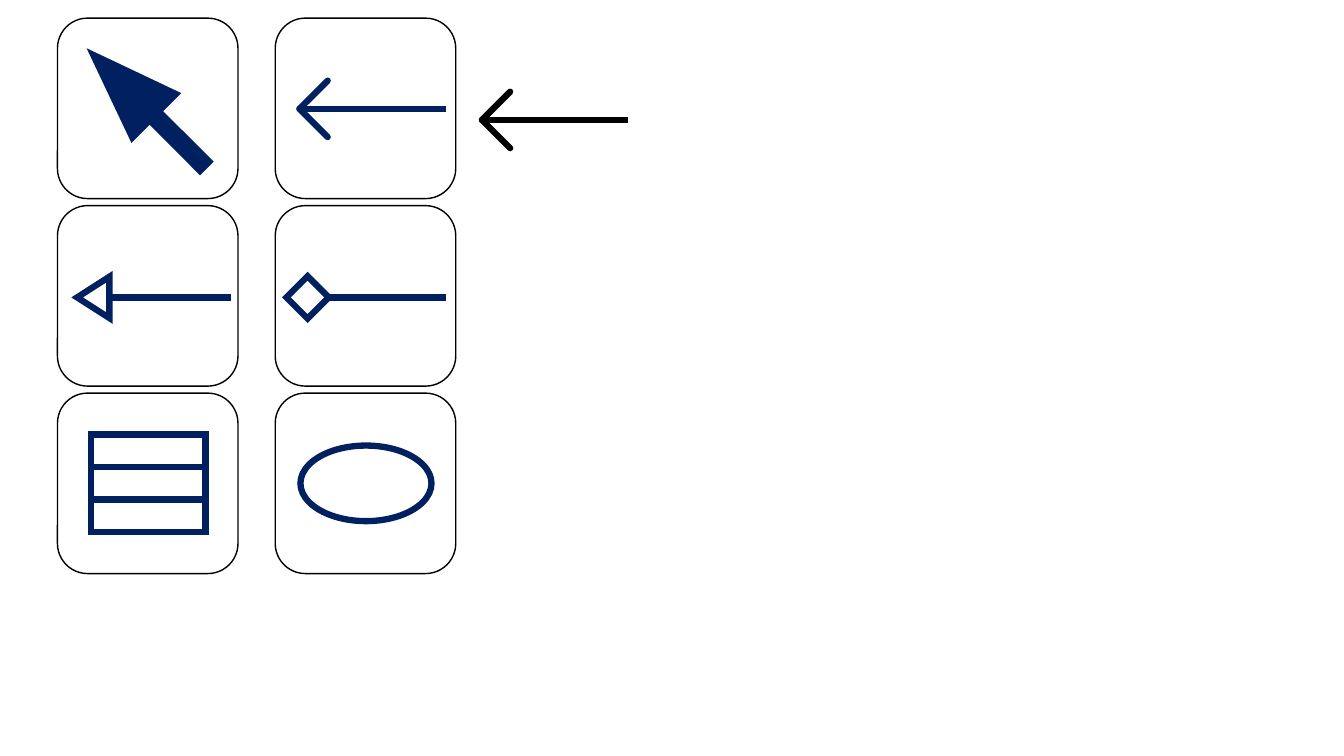
"""Draw a palette of diagram tool icons on a grid of rounded cards."""
from lxml import etree
from pptx import Presentation, util as u
from pptx.dml.color import RGBColor
from pptx.enum import shapes as s
from pptx.oxml.ns import qn

NAVY, BLACK, WHITE = "002060", "000000", "FFFFFF"
KIND = s.MSO_SHAPE
LEFT, TOP, COL, ROW, SIDE = 0.57, 0.18, 2.16, 1.86, 1.79


def style(item, hue=NAVY, width=4.5, fill=None, cap="flat", join="miter"):
    if hasattr(item, "fill"):
        item.shadow.inherit = False
        if fill:
            item.fill.solid()
            item.fill.fore_color.rgb = RGBColor.from_string(fill)
        else:
            item.fill.background()
    else:
        etree.SubElement(item._element.spPr, qn("a:effectLst"))
    item.line.color.rgb = RGBColor.from_string(hue)
    item.line.width = u.Pt(width)
    pen = item.line._get_or_add_ln()
    pen.set("cap", cap)
    etree.SubElement(pen, qn("a:" + join))


def draw(home, kind, col, row, box, turn=0, **look):
    x, y, *ends = box
    x, y = LEFT + col * COL + x, TOP + row * ROW + y
    if kind:
        item = home.add_shape(kind, *map(u.Inches, (x, y, *ends)))
        item.rotation = turn
    else:
        ends = x + ends[0], y + ends[1]
        item = home.add_connector(s.MSO_CONNECTOR.STRAIGHT, *map(u.Inches, (x, y, *ends)))
    style(item, **look)
    return item


deck = Presentation()
deck.slide_width, deck.slide_height = u.Inches(13.33), u.Inches(7.5)
board = deck.slides.add_slide(deck.slide_layouts[6]).shapes

for row in range(3):
    for col in range(2):
        draw(board, KIND.ROUNDED_RECTANGLE, col, row, (0, 0, SIDE, SIDE),
             hue=BLACK, width=1, fill=WHITE)

pointer = draw(board, KIND.DOWN_ARROW, 0, 0, (0.55, 0.07, 0.68, 1.66), 135,
               width=1, fill=NAVY)
pointer.adjustments[0], pointer.adjustments[1] = 0.26, 1.4

heads = [
    (KIND.ISOSCELES_TRIANGLE, (0.15, 0.75, 0.41, 0.32), 270, (0.52, 0.91, 1.2, 0)),
    (KIND.DIAMOND, (0.11, 0.7, 0.42, 0.42), 0, (0.51, 0.91, 1.18, 0)),
]
for col, (kind, box, turn, shaft) in enumerate(heads):
    group = board.add_group_shape().shapes
    draw(group, None, col, 1, shaft)
    draw(group, kind, col, 1, box, turn)

table = board.add_group_shape().shapes
for band in range(3):
    draw(table, KIND.RECTANGLE, 0, 2, (0.33, 0.41 + band * 0.325, 1.14, 0.32))
draw(board, KIND.OVAL, 1, 2, (0.25, 0.52, 1.3, 0.75))

for x, y, hue in [(0.24, 0.9, NAVY), (2.05, 1.01, BLACK)]:
    group = board.add_group_shape().shapes
    draw(group, None, 1, 0, (x + 1.45, y, -1.44, 0), hue=hue)
    for rise in (-0.28, 0.28):
        draw(group, None, 1, 0, (x, y, 0.28, rise), hue=hue, cap="rnd", join="round")

deck.save("out.pptx")
